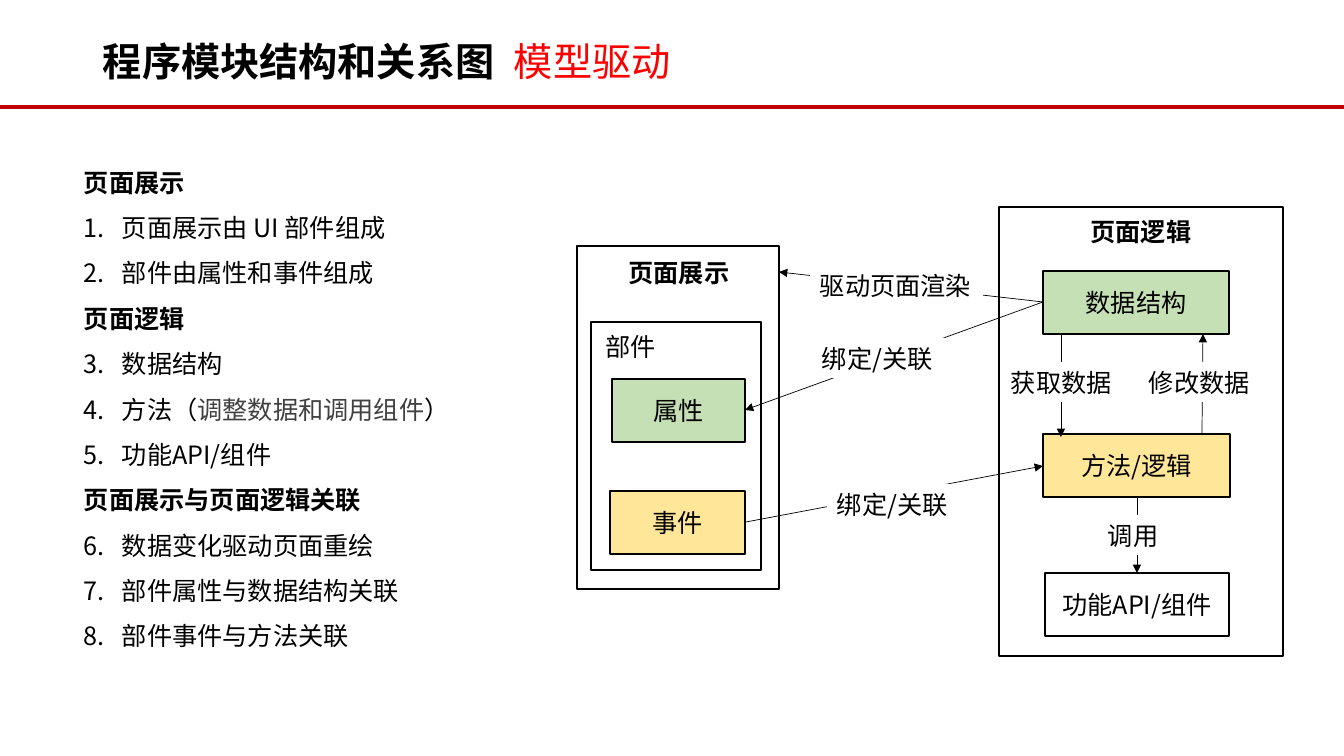
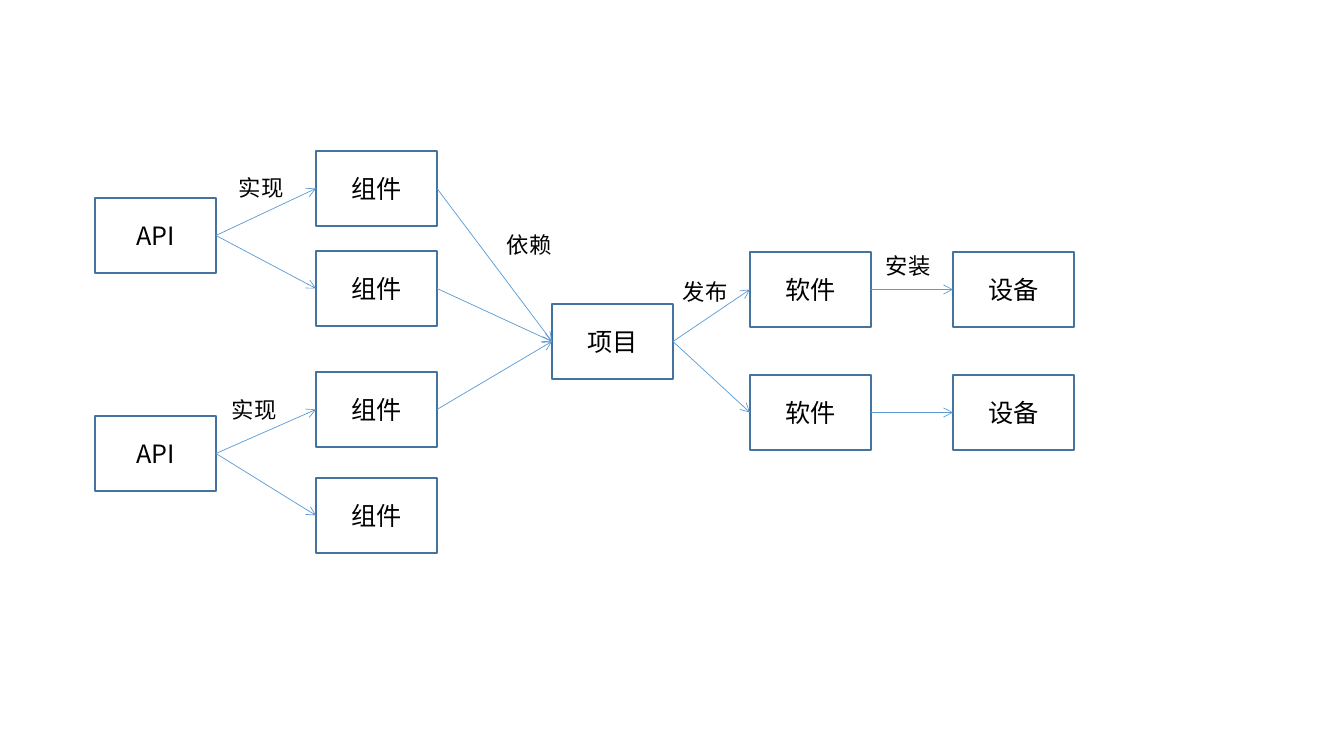
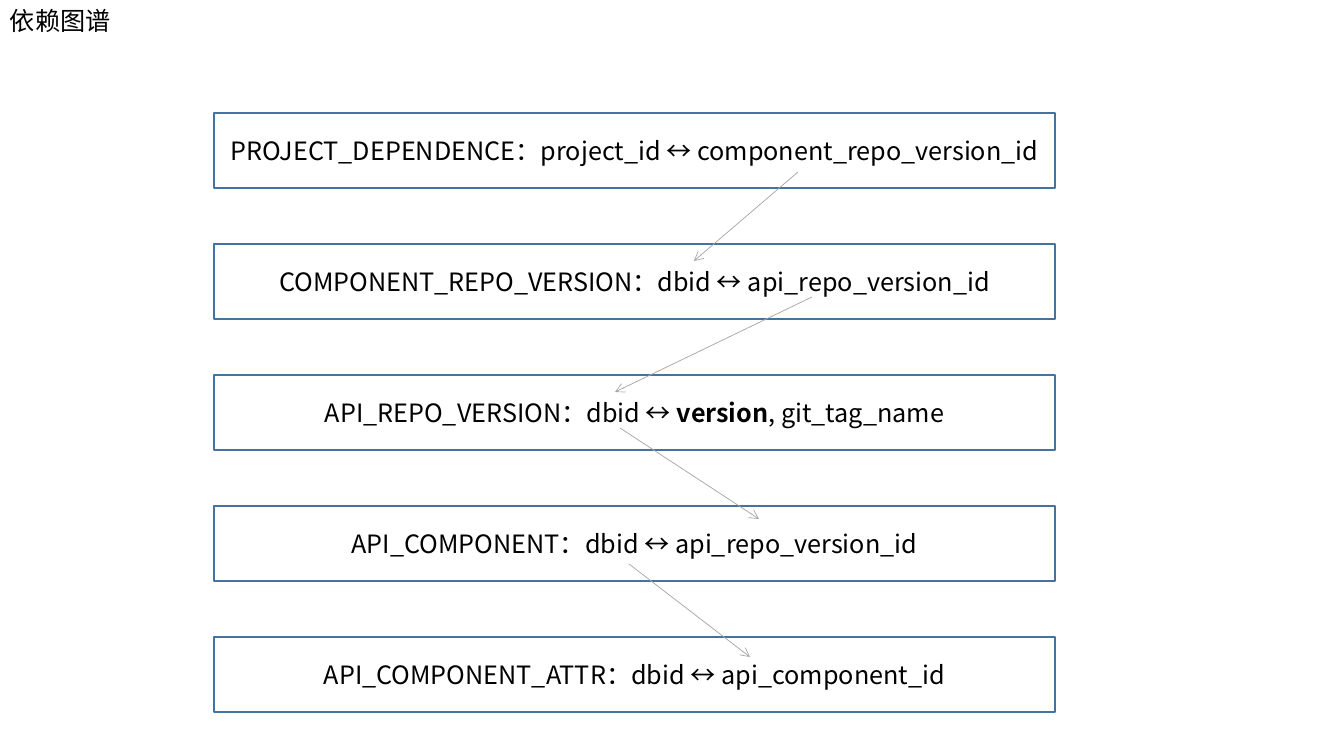
import pptx
import pptx.dml.color
import pptx.enum.shapes
import pptx.enum.text
import pptx.oxml
import pptx.oxml.ns
import pptx.util
from dataclasses import dataclass


# Theme
@dataclass(frozen=True)
class Theme:
    font: str = "Noto Sans CJK SC"
    black: str = "000000"
    gray: str = "404040"
    red: str = "FF0000"
    rule: str = "C00000"
    white: str = "FFFFFF"
    green: str = "C5E0B4"
    yellow: str = "FFE699"
    outline: str = "43739E"
    blue: str = "5B9BD5"
    silver: str = "A5A5A5"
    title: int = 28
    body: int = 18
    label: int = 16


THEME = Theme()
SCALE = 914400 / 100.8
SLIDE_SIZE = (1344, 756)

# Content: module structure
TITLE = [("程序模块结构和关系图\u2002", {"bold": True}), ("模型驱动", {"color": THEME.red})]
SECTIONS = [
    ("页面展示", ["页面展示由 UI 部件组成", "部件由属性和事件组成"]),
    ("页面逻辑", ["数据结构",
              [("方法（", {}), ("调整数据和调用组件", {"color": THEME.gray}), ("）", {})],
              "功能API/组件"]),
    ("页面展示与页面逻辑关联", ["数据变化驱动页面重绘", "部件属性与数据结构关联", "部件事件与方法关联"]),
]
MODULES = [
    ("", (577, 246, 202, 343), None),
    ("", (591, 322, 170, 248), None),
    ("属性", (612, 379, 133, 63), THEME.green),
    ("事件", (610, 491, 135, 63), THEME.yellow),
    ("", (999, 207, 284, 449), None),
    ("数据结构", (1043, 271, 186, 63), THEME.green),
    ("方法/逻辑", (1043, 434, 187, 63), THEME.yellow),
    ("功能API/组件", (1045, 573, 184, 63), None),
]
RELATIONS = [
    ("驱动页面渲染", (1043, 302), (779, 272), (810, 265, 173, 40)),
    ("绑定/关联", (1043, 302), (745, 410), (812, 338, 133, 40)),
    ("绑定/关联", (746, 522), (1043, 466), (827, 484, 133, 40)),
    ("调用", (1137, 497), (1137, 573), (1098, 515, 72, 40)),
    ("获取数据", (1061, 334), (1061, 437), (1001, 362, 122, 40)),
    ("修改数据", (1202, 434), (1203, 334), (1139, 362, 122, 40)),
]
CAPTIONS = [
    ("页面展示", (579, 247, 200, 50), True),
    ("页面逻辑", (1000, 207, 282, 48), True),
    ("部件", (559, 326, 143, 40), False),
]

# Content: delivery flow, as columns of (text, left, tops)
FLOW_COLUMNS = [
    ("API", 95, [198, 416]),
    ("组件", 316, [151, 251, 372, 478]),
    ("项目", 552, [304]),
    ("软件", 750, [252, 375]),
    ("设备", 953, [252, 375]),
]
# For each column: (row, row in the next column)
FLOW_LINKS = [
    [(0, 0), (0, 1), (1, 2), (1, 3)],
    [(0, 0), (1, 0), (2, 0)],
    [(0, 0), (0, 1)],
    [(0, 0), (1, 1)],
]
FLOW_LABELS = [("实现", 229, 169), ("依赖", 497, 226), ("实现", 222, 391),
               ("发布", 673, 273), ("安装", 876, 247)]

# Content: dependency map
MAP_TITLE = "依赖图谱"
TABLES = [
    "PROJECT_DEPENDENCE：project_id ↔ component_repo_version_id",
    "COMPONENT_REPO_VERSION：dbid ↔ api_repo_version_id",
    [("API_REPO_VERSION：dbid ↔ ", {}), ("version", {"bold": True}), (", git_tag_name", {})],
    "API_COMPONENT：dbid ↔ api_repo_version_id",
    "API_COMPONENT_ATTR：dbid ↔ api_component_id",
]
KEY_LINKS = [
    ((798, 172), (694, 261)),
    ((812, 297), (615, 392)),
    ((620, 428), (759, 519)),
    ((629, 564), (750, 657)),
]


# Helpers
def emu(*pixels):
    return [round(pixel * SCALE) for pixel in pixels]


def rgb(color):
    return pptx.dml.color.RGBColor.from_string(color)


def add_child(parent, tag, **attributes):
    child = pptx.oxml.parse_xml(f"<{tag} {pptx.oxml.ns.nsdecls('a')}/>")
    for name, value in attributes.items():
        child.set(name, str(value))
    parent.append(child)
    return child


def write(paragraph, text, size=THEME.body, color=THEME.black, bold=False,
          centered=False, spacing=None):
    """Text is a string, or a list of (string, run format) pairs."""
    if centered:
        paragraph.alignment = pptx.enum.text.PP_ALIGN.CENTER
    if spacing:
        paragraph.line_spacing = spacing
    pieces = [(text, {})] if isinstance(text, str) else text
    for piece, changes in pieces:
        run = paragraph.add_run()
        run.text = piece
        run.font.name = THEME.font
        run.font.size = pptx.util.Pt(size)
        run.font.bold = changes.get("bold", bold)
        run.font.color.rgb = rgb(changes.get("color", color))
        add_child(run.font._element, "a:ea", typeface=THEME.font)


def add_text(slide, text, area, middle=False, wrap=True, **text_format):
    shape = slide.shapes.add_textbox(*emu(*area))
    frame = shape.text_frame
    frame.word_wrap = wrap
    if middle:
        frame.vertical_anchor = pptx.enum.text.MSO_ANCHOR.MIDDLE
    if text:
        write(frame.paragraphs[0], text, **text_format)
    return shape


def add_box(slide, text, area, fill=None, outline=THEME.outline):
    shape = slide.shapes.add_shape(pptx.enum.shapes.MSO_SHAPE.RECTANGLE, *emu(*area))
    shape.shadow.inherit = False
    if fill:
        shape.fill.solid()
        shape.fill.fore_color.rgb = rgb(fill)
    else:
        shape.fill.background()
    shape.line.color.rgb = rgb(outline)
    shape.line.width = pptx.util.Pt(1)
    if text:
        shape.text_frame.word_wrap = False
        shape.text_frame.vertical_anchor = pptx.enum.text.MSO_ANCHOR.MIDDLE
        write(shape.text_frame.paragraphs[0], text, centered=True)
    return shape


def add_line(slide, start, end, color, width=0.5, head=None):
    line = slide.shapes.add_connector(
        pptx.enum.shapes.MSO_CONNECTOR.STRAIGHT, *emu(*start, *end))
    line.line.color.rgb = rgb(color)
    line.line.width = pptx.util.Pt(width)
    if head:
        add_child(line.line._get_or_add_ln(), "a:tailEnd", type=head)
    add_child(line._element.spPr, "a:effectLst")
    return line


def add_sections(slide, area):
    frame = add_text(slide, "", area).text_frame
    paragraph = frame.paragraphs[0]
    first_number = 1
    for heading, items in SECTIONS:
        if first_number > 1:
            paragraph = frame.add_paragraph()
        write(paragraph, heading, bold=True, spacing=1.5)
        for item in items:
            paragraph = frame.add_paragraph()
            write(paragraph, item, spacing=1.5)
            properties = paragraph._p.get_or_add_pPr()
            indent = emu(38)[0]
            properties.set("marL", str(indent))
            properties.set("indent", str(-indent))
            add_child(properties, "a:buFont", typeface=THEME.font)
            add_child(properties, "a:buAutoNum", type="arabicPeriod", startAt=first_number)
        first_number += len(items)


# Slides
def build_modules(slide):
    add_text(slide, TITLE, (93, 22, 1159, 83), middle=True, size=THEME.title, spacing=0.9)
    add_line(slide, (0, 107), (SLIDE_SIZE[0], 107), THEME.rule, width=2.25)
    for text, area, fill in MODULES:
        add_box(slide, text, area, fill, THEME.black)
    for text, start, end, area in RELATIONS:
        add_line(slide, start, end, THEME.black, head="triangle")
        label = add_text(slide, text, area)
        label.fill.solid()
        label.fill.fore_color.rgb = rgb(THEME.white)
    for text, area, heading in CAPTIONS:
        add_text(slide, text, area, middle=heading, bold=heading, centered=True)
    add_sections(slide, (74, 147, 389, 559))


def build_flow(slide):
    columns = [[add_box(slide, text, (left, top, 121, 75)) for top in tops]
               for text, left, tops in FLOW_COLUMNS]
    right_side, left_side = 3, 1
    for sources, targets, links in zip(columns, columns[1:], FLOW_LINKS):
        for source, target in links:
            arrow = add_line(slide, (0, 0), (0, 0), THEME.blue, head="arrow")
            arrow.begin_connect(sources[source], right_side)
            arrow.end_connect(targets[target], left_side)
    for text, left, top in FLOW_LABELS:
        add_text(slide, text, (left, top, 65, 37), wrap=False, size=THEME.label)


def build_map(slide):
    add_text(slide, MAP_TITLE, (0, 0, 121, 40), wrap=False)
    for row, text in enumerate(TABLES):
        add_box(slide, text, (214, 113 + 131 * row, 841, 75))
    for start, end in KEY_LINKS:
        add_line(slide, start, end, THEME.silver, head="arrow")


presentation = pptx.Presentation()
presentation.slide_width, presentation.slide_height = emu(*SLIDE_SIZE)
for build in (build_modules, build_flow, build_map):
    build(presentation.slides.add_slide(presentation.slide_layouts[6]))
presentation.save("out.pptx")
